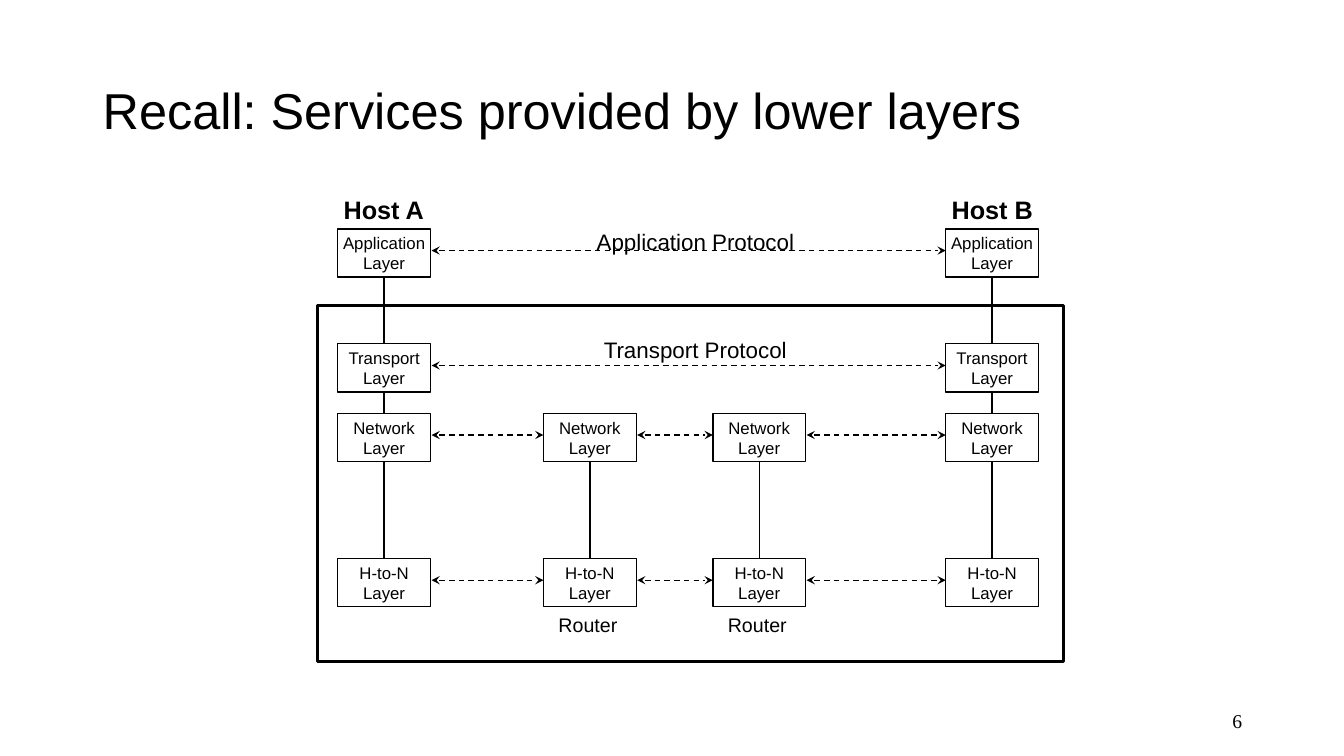
"""Builds a slide on the services that lower network layers provide."""
import itertools

import pptx
import pptx.chart.data
import pptx.dml.color
import pptx.enum.dml
import pptx.enum.shapes
import pptx.enum.text
import pptx.oxml
import pptx.oxml.ns
import pptx.util
from dataclasses import dataclass

TITLE = "Recall: Services provided by lower layers"
PAGE = "6"
COLUMNS = {"Host A": 3.35, "Router 1": 5.39, "Router 2": 7.07, "Host B": 9.38}
ROWS = {"Application": 2.27, "Transport": 3.41, "Network": 4.10, "H-to-N": 5.54}
HOSTS = ["Host A", "Host B"]
ROUTERS = ["Router 1", "Router 2"]
HOST_LAYERS = ["Application", "Transport"]
SHARED_LAYERS = ["Network", "H-to-N"]
PROTOCOLS = [
    ("Application Protocol", 5.82, 2.21, 2.16),
    ("Transport Protocol", 5.89, 3.29, 2.03),
]
BOX_W, BOX_H = 0.92, 0.48
FRAME = (3.15, 3.03, 7.40, 3.53)


@dataclass(frozen=True)
class Theme:
    ink: str = "000000"
    paper: str = "FFFFFF"
    font: str = "Arial"
    page_font: str = "Times New Roman"
    title: int = 36
    host: int = 18
    protocol: int = 16
    small: int = 14
    layer: int = 12
    thin: int = 1
    thick: int = 2


T = Theme()
ALIGN = pptx.enum.text.PP_ALIGN
ANCHOR = pptx.enum.text.MSO_ANCHOR
inch = pptx.util.Inches

prs = pptx.Presentation()
prs.slide_width, prs.slide_height = inch(13.33), inch(7.5)
s = prs.slides.add_slide(prs.slide_layouts[6])


def rgb(value):
    return pptx.dml.color.RGBColor.from_string(value)


def write(sp, lines, size, align=ALIGN.LEFT, anchor=ANCHOR.TOP, wrap=False,
          font=T.font, bold=False, spacing=None):
    tf = sp.text_frame
    tf.word_wrap = wrap
    tf.vertical_anchor = anchor
    for i, line in enumerate(lines):
        p = tf.paragraphs[0] if i == 0 else tf.add_paragraph()
        p.alignment = align
        p.line_spacing = spacing
        r = p.add_run()
        r.text = line
        r.font.name, r.font.size, r.font.bold = font, pptx.util.Pt(size), bold
        r.font.color.rgb = rgb(T.ink)


def label(text, x, y, w, h, size, **style):
    sp = s.shapes.add_textbox(inch(x), inch(y), inch(w), inch(h))
    write(sp, [text], size, **style)


def rect(x, y, w, h, weight, filled):
    sp = s.shapes.add_shape(pptx.enum.shapes.MSO_SHAPE.RECTANGLE,
                            inch(x), inch(y), inch(w), inch(h))
    sp.shadow.inherit = False
    if filled:
        sp.fill.solid()
        sp.fill.fore_color.rgb = rgb(T.paper)
    else:
        sp.fill.background()
    sp.line.color.rgb = rgb(T.ink)
    sp.line.width = pptx.util.Pt(weight)
    return sp


def line(x1, y1, x2, y2, exchange=False):
    sp = s.shapes.add_connector(pptx.enum.shapes.MSO_CONNECTOR.STRAIGHT,
                                inch(x1), inch(y1), inch(x2), inch(y2))
    sp.line.color.rgb = rgb(T.ink)
    sp.line.width = pptx.util.Pt(T.thin)
    if exchange:
        sp.line.dash_style = pptx.enum.dml.MSO_LINE.DASH
        ln = sp.line._get_or_add_ln()
        for tag in ("a:headEnd", "a:tailEnd"):
            end = pptx.oxml.xmlchemy.OxmlElement(tag)
            end.set("type", "stealth")
            ln.append(end)
    sp._element.spPr.append(pptx.oxml.xmlchemy.OxmlElement("a:effectLst"))


label(PAGE, 9.42, 6.95, 3, 0.4, T.small, align=ALIGN.RIGHT,
      anchor=ANCHOR.MIDDLE, wrap=True, font=T.page_font)
label(TITLE, 0.92, 0.4, 11.5, 1.45, T.title,
      anchor=ANCHOR.MIDDLE, wrap=True, spacing=0.9)

for name, x in COLUMNS.items():
    layers = list(ROWS) if name in HOSTS else SHARED_LAYERS
    middle = x + BOX_W / 2
    line(middle, ROWS[layers[0]] + BOX_H, middle, ROWS[layers[-1]])
    for layer in layers:
        sp = rect(x, ROWS[layer], BOX_W, BOX_H, T.thin, True)
        write(sp, [layer, "Layer"], T.layer, align=ALIGN.CENTER,
              anchor=ANCHOR.MIDDLE)

for layer, y in ROWS.items():
    stops = HOSTS if layer in HOST_LAYERS else list(COLUMNS)
    for left, right in itertools.pairwise(stops):
        level = y + BOX_H * 0.45
        line(COLUMNS[left] + BOX_W + 0.01, level, COLUMNS[right], level, True)

for text, x, y, w in PROTOCOLS:
    label(text, x, y, w, 0.37, T.protocol)
for name in HOSTS:
    label(name, COLUMNS[name] - 0.04, 1.88, 1.01, 0.4, T.host, bold=True)
for name in ROUTERS:
    label("Router", COLUMNS[name] + 0.05, 6.03, 0.79, 0.34, T.small)

rect(*FRAME, T.thick, False)

prs.save("out.pptx")
